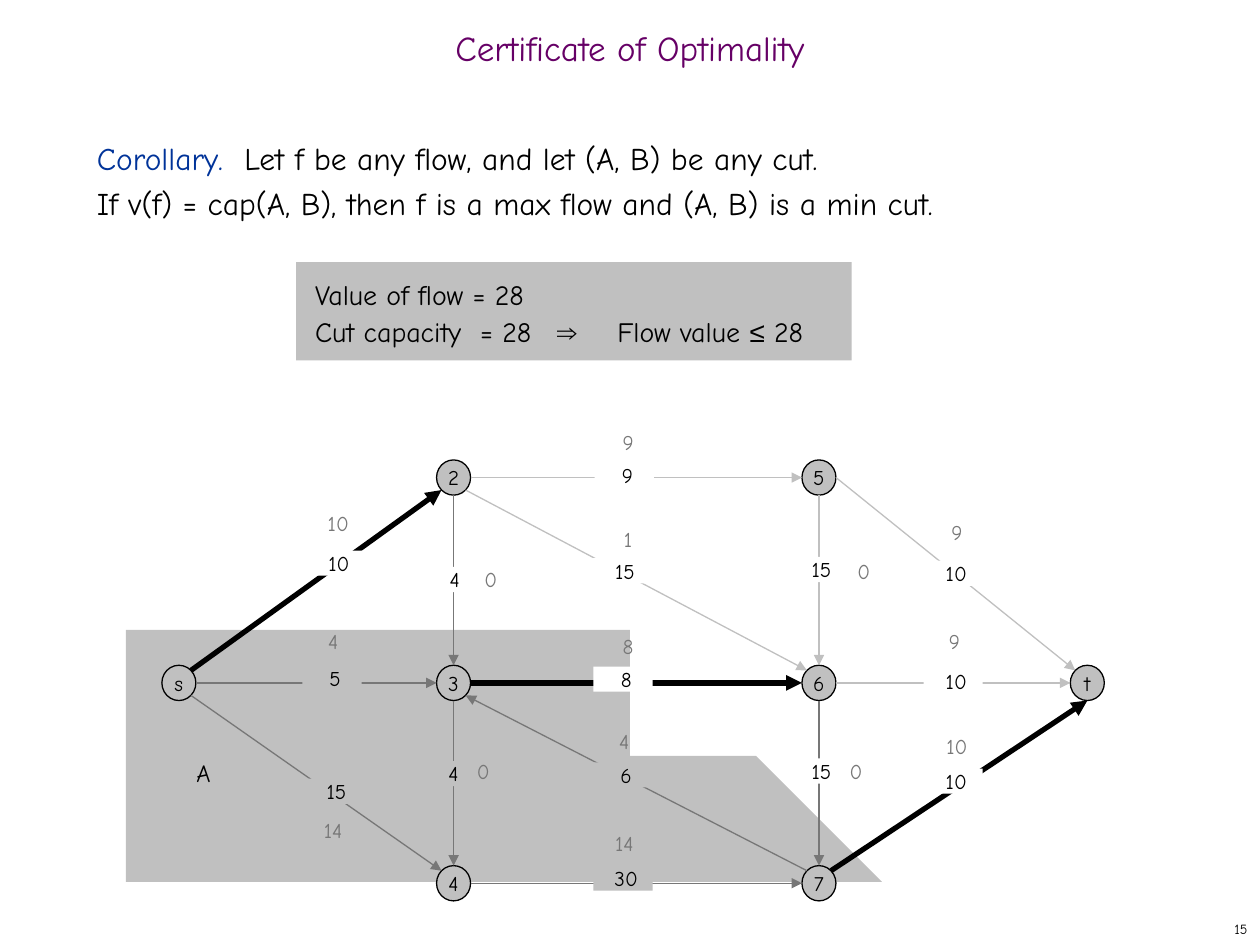
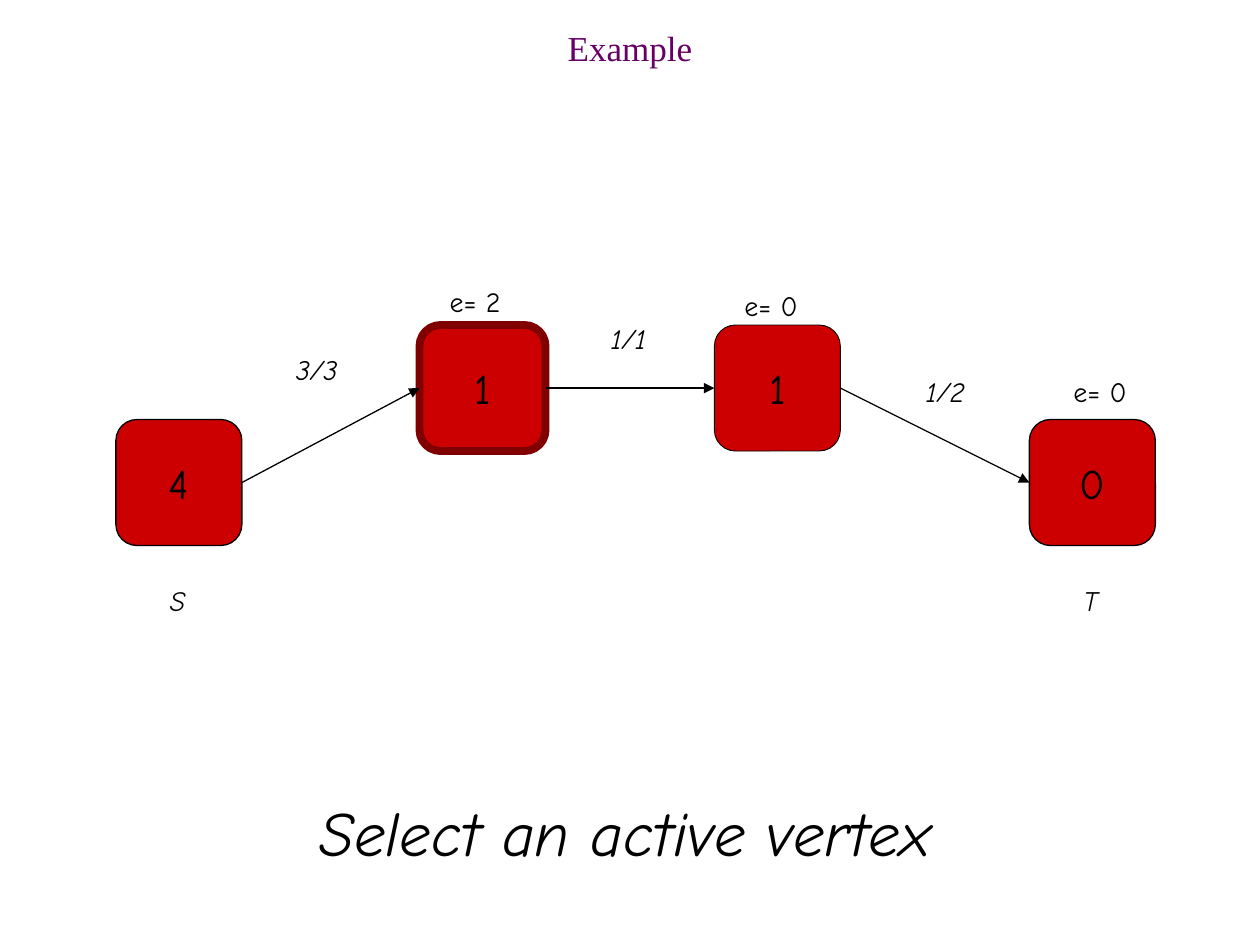
import pptx
import pptx.dml.color
import pptx.enum.shapes
import pptx.enum.text
import pptx.oxml
import pptx.oxml.ns
import pptx.util
from pptx.util import Inches

FONT = "Comic Neue"
BLACK, WHITE, SILVER, GREY = "000000", "FFFFFF", "C0C0C0", "777777"
PURPLE, NAVY, RED, MAROON = "660066", "003399", "CC0000", "800000"
SHAPES = pptx.enum.shapes.MSO_SHAPE
LEFT, CENTER, RIGHT = (pptx.enum.text.PP_ALIGN.LEFT, pptx.enum.text.PP_ALIGN.CENTER,
                       pptx.enum.text.PP_ALIGN.RIGHT)
TOP, MIDDLE = pptx.enum.text.MSO_ANCHOR.TOP, pptx.enum.text.MSO_ANCHOR.MIDDLE
INSETS = (0.1, 0.05, 0.1, 0.05)

# Flow network: node centres, and directions from a centre to its rim
NODE_WIDTH, NODE_HEIGHT = 0.27, 0.28
UPPER, MIDWAY, LOWER = 3.79, 5.42, 7.01
NODES = {"s": (1.42, MIDWAY), "2": (3.6, UPPER), "3": (3.6, MIDWAY), "4": (3.6, LOWER),
         "5": (6.5, UPPER), "6": (6.5, MIDWAY), "7": (6.5, LOWER), "t": (8.63, MIDWAY)}
RIM = {"N": (0, -1), "NE": (0.71, -0.71), "E": (1, 0), "SE": (0.71, 0.71),
       "S": (0, 1), "SW": (-0.71, 0.71), "W": (-1, 0), "NW": (-0.71, -0.71)}

# start, rim, end, rim, line colour, width, capacity, its place and fill, flow, its place
EDGES = [
    ("s", "NE", "2", "SW", BLACK, 3, "10", (2.43, 4.37), WHITE, "10", (2.5, 4.05)),
    ("s", "E", "3", "W", GREY, 0.75, "5", (2.4, 5.28), SILVER, "4", (2.46, 4.99)),
    ("s", "SE", "4", "NW", GREY, 0.75, "15", (2.41, 6.18), SILVER, "14", (2.46, 6.49)),
    ("3", "E", "6", "W", BLACK, 3, "8", (4.71, 5.29), WHITE, "8", (4.8, 5.03)),
    ("7", "NW", "3", "SE", GREY, 0.75, "6", (4.71, 6.05), SILVER, "4", (4.77, 5.78)),
    ("3", "S", "4", "N", GREY, 0.75, "4", (3.34, 6.04), SILVER, "0", (3.65, 6.02)),
    ("2", "E", "5", "W", SILVER, 0.75, "9", (4.72, 3.67), WHITE, "9", (4.8, 3.41)),
    ("4", "E", "7", "W", GREY, 0.75, "30", (4.71, 6.87), SILVER, "14", (4.77, 6.59)),
    ("2", "S", "3", "N", GREY, 0.75, "4", (3.35, 4.5), WHITE, "0", (3.71, 4.5)),
    ("6", "S", "7", "N", GREY, 0.75, "15", (6.26, 6.02), WHITE, "0", (6.61, 6.02)),
    ("5", "S", "6", "N", SILVER, 0.75, "15", (6.26, 4.42), WHITE, "0", (6.67, 4.43)),
    ("2", "SE", "6", "NW", SILVER, 0.75, "15", (4.7, 4.43), WHITE, "1", (4.8, 4.18)),
    ("5", "E", "t", "NW", SILVER, 0.75, "10", (7.33, 4.45), WHITE, "9", (7.41, 4.12)),
    ("6", "E", "t", "W", SILVER, 0.75, "10", (7.33, 5.31), WHITE, "9", (7.39, 4.99)),
    ("7", "NE", "t", "S", BLACK, 3, "10", (7.33, 6.1), WHITE, "10", (7.41, 5.82)),
]

# Outline of cut A: corner points, or two control points and an end point
CUT_OUTLINE = [
    (6.08, 6.21), (6.18, 6.31), (6.5, 6.47), (6.6, 6.55), (6.8, 6.66), (6.91, 6.9),
    (7, 6.97), (7.13, 7.39, 6.56, 7.3, 6.35, 7.31), (5.23, 7.29, 4.14, 7.23, 3.01, 7.22),
    (2.76, 7.18), (2.46, 7.07), (2.14, 6.93), (2.08, 6.88), (1.91, 6.8), (1.77, 6.69),
    (1.72, 6.65, 1.63, 6.65, 1.58, 6.62), (1.48, 6.57), (1.34, 6.4), (1.31, 6.36),
    (1.28, 6.29, 1.24, 6.22, 1.22, 6.14), (1.19, 6.01, 1.18, 5.88, 1.11, 5.77),
    (1.07, 5.59), (1.08, 5.4, 1.05, 5.24, 1.21, 5.14), (1.27, 5.06, 1.36, 5.03, 1.45, 5),
    (1.53, 4.96, 1.6, 4.93, 1.69, 4.91), (3.72, 4.97),
    (3.95, 5.01, 4.16, 5.11, 4.34, 5.26), (4.53, 5.45), (4.6, 5.52), (4.86, 5.67),
    (4.91, 5.71, 4.98, 5.69, 5.04, 5.7), (5.27, 5.74), (5.57, 5.87), (5.79, 5.94),
    (5.91, 6), (6, 6.07), (6.01, 6.11), (6.07, 6.18),
]


def rgb(color):
    return pptx.dml.color.RGBColor.from_string(color)


def format_run(run, size, color=BLACK, font=FONT, italic=False):
    run.font.size = pptx.util.Pt(size)
    run.font.name = font
    run.font.color.rgb = rgb(color)
    run.font.italic = italic


def set_frame(text_frame, insets=INSETS, anchor=TOP, wrap=True):
    text_frame.auto_size = pptx.enum.text.MSO_AUTO_SIZE.NONE
    text_frame.word_wrap = wrap
    text_frame.vertical_anchor = anchor
    (text_frame.margin_left, text_frame.margin_top,
     text_frame.margin_right, text_frame.margin_bottom) = map(Inches, insets)


def set_text(shape, text, size, align=LEFT, color=BLACK, font=FONT, italic=False, **frame):
    set_frame(shape.text_frame, **frame)
    shape.text_frame.text = text
    paragraph = shape.text_frame.paragraphs[0]
    paragraph.alignment = align
    format_run(paragraph.runs[0], size, color, font, italic)
    return paragraph


def set_rich_lines(shape, lines, size, line_spacing, tab_stops):
    """Each line is a list of (text, colour, font) pieces."""
    text_frame = shape.text_frame
    for index, pieces in enumerate(lines):
        paragraph = text_frame.paragraphs[0] if index == 0 else text_frame.add_paragraph()
        paragraph.alignment = LEFT
        paragraph.line_spacing = line_spacing
        for text, color, font in pieces:
            run = paragraph.add_run()
            run.text = text
            format_run(run, size, color, font)
        stops = "".join(f'<a:tab pos="{Inches(stop)}" algn="l"/>' for stop in tab_stops)
        namespace = pptx.oxml.ns.nsdecls("a")
        paragraph._p.get_or_add_pPr().append(
            pptx.oxml.parse_xml(f"<a:tabLst {namespace}>{stops}</a:tabLst>"))


def add_text_box(slide, left, top, width, height, text, size, **style):
    shape = slide.shapes.add_textbox(*map(Inches, (left, top, width, height)))
    set_text(shape, text, size, **style)


def style_shape(shape, fill, line=None, line_width=0.75):
    shape.shadow.inherit = False
    shape.fill.solid()
    shape.fill.fore_color.rgb = rgb(fill)
    if line:
        shape.line.color.rgb = rgb(line)
        shape.line.width = pptx.util.Pt(line_width)
    else:
        shape.line.fill.background()


def add_box(slide, kind, left, top, width, height, fill, line=None, line_width=0.75):
    shape = slide.shapes.add_shape(kind, *map(Inches, (left, top, width, height)))
    style_shape(shape, fill, line, line_width)
    return shape


def add_arrow(slide, start=(0, 0), end=(0, 0), color=BLACK, width=0.75):
    connector = slide.shapes.add_connector(
        pptx.enum.shapes.MSO_CONNECTOR.STRAIGHT, *map(Inches, (*start, *end)))
    connector.line.color.rgb = rgb(color)
    connector.line.width = pptx.util.Pt(width)
    namespace = pptx.oxml.ns.nsdecls("a")
    connector.line._get_or_add_ln().append(
        pptx.oxml.parse_xml(f'<a:tailEnd {namespace} type="triangle"/>'))
    connector._element.spPr.append(pptx.oxml.parse_xml(f"<a:effectLst {namespace}/>"))
    return connector


def add_titled_slide(presentation, title, font=FONT):
    slide = presentation.slides.add_slide(presentation.slide_layouts[5])
    shape = slide.shapes.title
    shape.left, shape.top, shape.width, shape.height = map(Inches, (0, 0.17, 10, 0.5))
    paragraph = set_text(shape, title, 20, CENTER, PURPLE, font, anchor=MIDDLE)
    paragraph.line_spacing = 0.7
    return slide


def add_cut_region(slide, outline, steps=8):
    points = []
    for entry in outline:
        if len(entry) == 2:
            points.append(entry)
            continue
        x0, y0 = points[-1]
        x1, y1, x2, y2, x3, y3 = entry
        for step in range(1, steps + 1):
            t = step / steps
            u = 1 - t
            a, b, c, d = u ** 3, 3 * u * u * t, 3 * u * t * t, t ** 3
            points.append((a * x0 + b * x1 + c * x2 + d * x3,
                           a * y0 + b * y1 + c * y2 + d * y3))
    builder = slide.shapes.build_freeform(*points[0], scale=Inches(1))
    builder.add_line_segments(points[1:], close=True)
    style_shape(builder.convert_to_shape(), SILVER)


def add_node(slide, name, center):
    x, y = center
    node = add_box(slide, SHAPES.OVAL, x - NODE_WIDTH / 2, y - NODE_HEIGHT / 2,
                   NODE_WIDTH, NODE_HEIGHT, SILVER, BLACK)
    set_text(node, name, 12, CENTER, anchor=MIDDLE, wrap=False)


def rim_point(name, direction):
    (x, y), (dx, dy) = NODES[name], RIM[direction]
    return x + dx * NODE_WIDTH / 2, y + dy * NODE_HEIGHT / 2


def add_network(slide):
    for name, center in NODES.items():
        add_node(slide, name, center)
    for start, start_rim, end, end_rim, color, width, *_ in EDGES:
        add_arrow(slide, rim_point(start, start_rim), rim_point(end, end_rim), color, width)
    # Capacities cover the middle of their edge; flows stand beside it
    for *_, capacity, place, fill, flow, flow_place in EDGES:
        label = add_box(slide, SHAPES.RECTANGLE, *place, 0.47, 0.2, fill)
        set_text(label, capacity, 12, CENTER, insets=(0.05, 0, 0, 0))
    for *_, flow, flow_place in EDGES:
        add_text_box(slide, *flow_place, 0.37, 0.19, flow, 12, align=CENTER, color=GREY,
                     insets=(0, 0, 0, 0))


def build_certificate_slide(presentation):
    slide = add_titled_slide(presentation, "Certificate of Optimality")
    add_text_box(slide, 7.92, 7.25, 2.08, 0.25, "15", 8, align=RIGHT, anchor=MIDDLE)
    add_cut_region(slide, CUT_OUTLINE)

    # Corollary
    corollary = slide.shapes.add_textbox(*map(Inches, (0.67, 1, 8.49, 0.9)))
    set_frame(corollary.text_frame)
    set_rich_lines(corollary, [
        [("Corollary.", NAVY, FONT),
         ("\tLet f be any flow, and let (A, B) be any cut.", BLACK, FONT)],
        [("If v(f) = cap(A, B), then f is a max flow and (A, B) is a min cut.", BLACK, FONT)],
    ], 18, pptx.util.Pt(25.6), [1.17])

    # Flow value against cut capacity
    values = add_box(slide, SHAPES.RECTANGLE, 2.35, 2.08, 4.41, 0.78, SILVER)
    set_frame(values.text_frame, (0.15, 0.1, 0.15, 0.1))
    set_rich_lines(values, [
        [("Value of flow = 28", BLACK, FONT)],
        [("Cut capacity\t= 28\t", BLACK, FONT), ("⇒", BLACK, "Arial"),
         ("\tFlow value ", BLACK, FONT), ("≤", BLACK, "Arial"), (" 28", BLACK, FONT)],
    ], 16, 1.1, [1.31, 1.92, 2.4])

    add_network(slide)
    add_text_box(slide, 1.56, 6.02, 0.14, 0.23, "A", 14, insets=(0, 0, 0, 0), wrap=False)


def build_example_slide(presentation):
    slide = add_titled_slide(presentation, "Example", "Times New Roman")

    # Vertices with their heights, joined left to right
    vertices = []
    for left, top, height_label, line, line_width in [
            (0.92, 3.33, "4", BLACK, 0.75), (3.33, 2.58, "1", MAROON, 4.5),
            (5.67, 2.58, "1", BLACK, 0.5), (8.17, 3.33, "0", BLACK, 0.75)]:
        vertex = add_box(slide, SHAPES.ROUNDED_RECTANGLE, left, top, 1, 1, RED, line, line_width)
        set_text(vertex, height_label, 24, CENTER, anchor=MIDDLE, wrap=False)
        vertices.append(vertex)
    for source, target in zip(vertices, vertices[1:]):
        arrow = add_arrow(slide)
        arrow.begin_connect(source, 3)
        arrow.end_connect(target, 1)

    # Flow/capacity, vertex names and excess
    for left, top, text, italic in [
            (2.25, 2.75, "3/3", True), (4.75, 2.5, "1/1", True), (7.25, 2.92, "1/2", True),
            (1.25, 4.58, "S", True), (8.5, 4.58, "T", True),
            (3.47, 2.21, "e= 2", False), (5.81, 2.24, "e= 0", False),
            (8.42, 2.92, "e= 0", False)]:
        width = 0.35 if len(text) == 1 else 0.2 + 0.12 * len(text)
        add_text_box(slide, left, top, width, 0.37, text, 16, italic=italic, wrap=False)
    add_text_box(slide, 1, 6.25, 7.92, 0.7, "Select an active vertex", 36,
                 align=CENTER, italic=True)


def main():
    presentation = pptx.Presentation()
    presentation.slide_width, presentation.slide_height = Inches(10), Inches(7.5)
    build_certificate_slide(presentation)
    build_example_slide(presentation)
    presentation.save("out.pptx")


if __name__ == "__main__":
    main()
